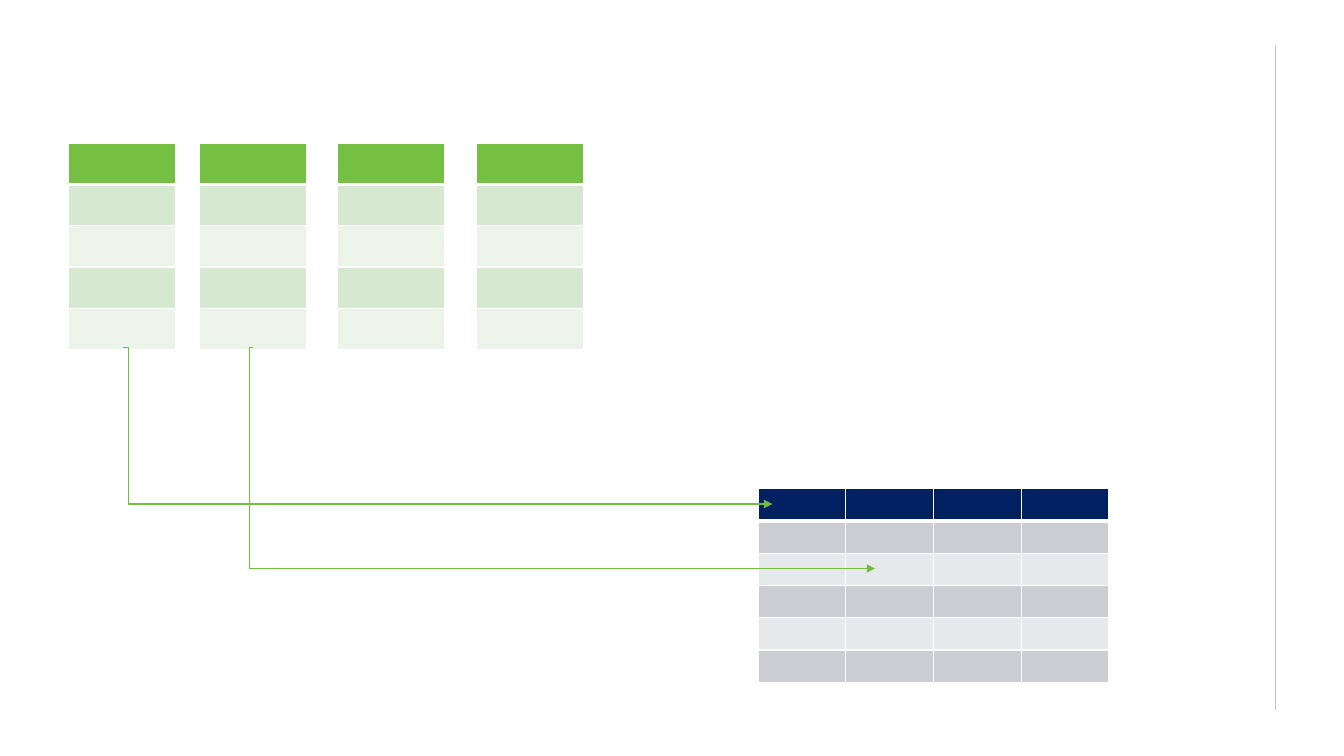
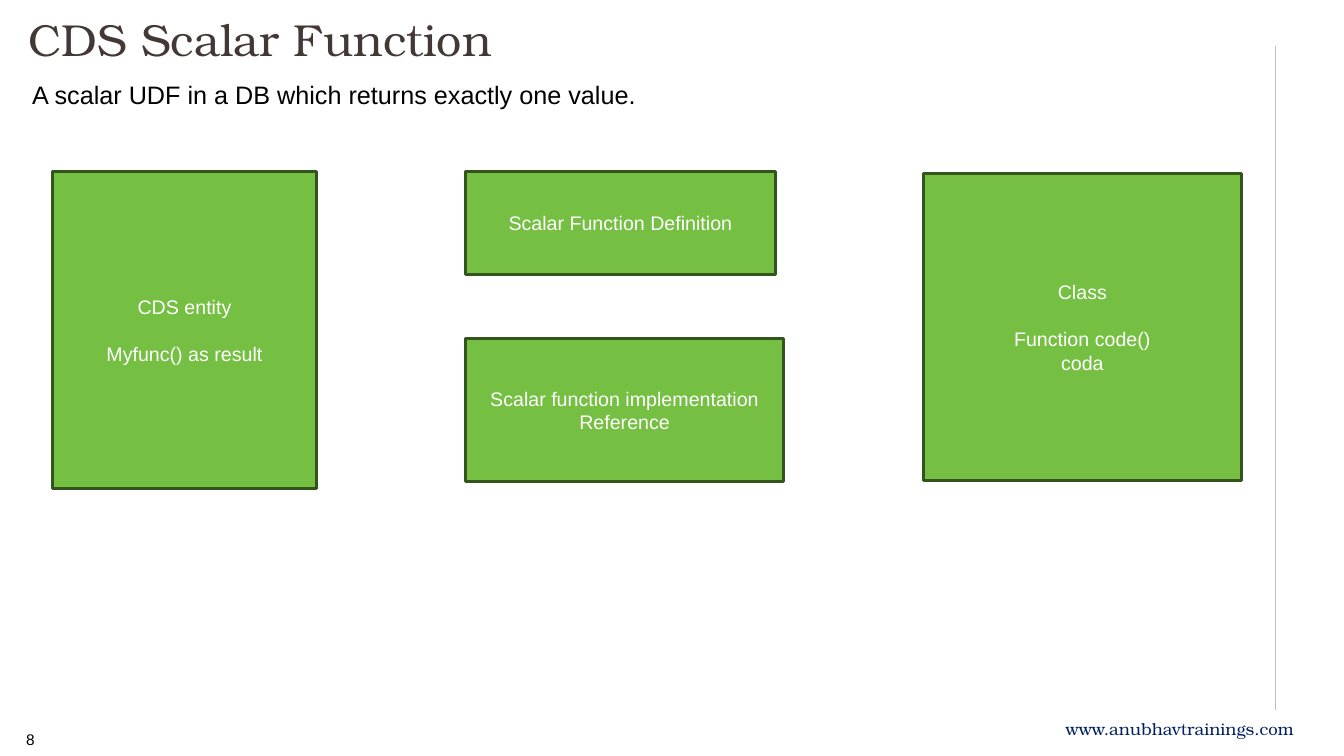
from lxml import etree
from pptx import Presentation
from pptx.dml.color import RGBColor
from pptx.enum.shapes import MSO_CONNECTOR, MSO_SHAPE
from pptx.enum.text import MSO_ANCHOR, MSO_AUTO_SIZE, PP_ALIGN
from pptx.oxml.ns import qn
from pptx.util import Inches, Pt

COLORS = {
    "green": "75C042", "green_mid": "D6E8CF", "green_pale": "ECF4E9",
    "arrow": "72BF3D", "outline": "33541D", "navy": "002060",
    "gray_mid": "CCCDD2", "gray_pale": "E7E8EA", "rule": "BFBFBF",
    "title": "433835", "black": "000000", "white": "FFFFFF",
}
SERIF = "TeX Gyre Bonum"
SANS = "Arial"
TITLE_ONLY, BLANK = 5, 6


def rgb(name):
    """Return the palette colour with this name."""
    return RGBColor.from_string(COLORS[name])


def write_text(frame, lines, size=14, font=SANS, color="black", align=PP_ALIGN.LEFT,
               anchor=MSO_ANCHOR.TOP, margins=(0.13, 0.07), line_spacing=None, gap_after_first=0):
    """Fill a text frame with one formatted paragraph per line."""
    frame.word_wrap = True
    frame.auto_size = MSO_AUTO_SIZE.NONE
    frame.vertical_anchor = anchor
    frame.margin_left = frame.margin_right = Inches(margins[0])
    frame.margin_top = frame.margin_bottom = Inches(margins[1])
    for index, line in enumerate(lines):
        paragraph = frame.paragraphs[0] if index == 0 else frame.add_paragraph()
        paragraph.alignment = align
        if line_spacing:
            paragraph.line_spacing = line_spacing
        if index == 1 and gap_after_first:
            paragraph.space_before = Pt(gap_after_first)
        run = paragraph.add_run()
        run.text = line
        run.font.size = Pt(size)
        run.font.name = font
        run.font.color.rgb = rgb(color)


def add_label(slide, box, text, **style):
    """Add a text box with a single line."""
    label = slide.shapes.add_textbox(*map(Inches, box))
    write_text(label.text_frame, [text], **style)


def add_line(slide, start, end, color, kind=MSO_CONNECTOR.STRAIGHT):
    """Add a thin connector without a shadow."""
    line = slide.shapes.add_connector(kind, *map(Inches, (*start, *end)))
    line.line.color.rgb = rgb(color)
    line.line.width = Pt(0.75)
    etree.SubElement(line._element.spPr, qn("a:effectLst"))
    return line


def add_elbow_arrow(slide, start, end, turn_x):
    """Add a bent arrow whose vertical leg stands at turn_x."""
    arrow = add_line(slide, start, end, "arrow", MSO_CONNECTOR.ELBOW)
    ratio = (turn_x - start[0]) / (end[0] - start[0])
    adjustments = arrow._element.spPr.find(qn("a:prstGeom")).get_or_add_avLst()
    etree.SubElement(adjustments, qn("a:gd"), name="adj1", fmla=f"val {round(ratio * 100000)}")
    etree.SubElement(arrow.line._get_or_add_ln(), qn("a:tailEnd"), type="triangle")


def set_borders(cell, widths):
    """Give a cell white borders; widths maps each side to points."""
    properties = cell._tc.get_or_add_tcPr()
    for position, side in enumerate("LRTB"):
        border = etree.Element(qn(f"a:ln{side}"), w=str(Pt(widths[side])))
        fill = etree.SubElement(border, qn("a:solidFill"))
        etree.SubElement(fill, qn("a:srgbClr"), val=COLORS["white"])
        properties.insert(position, border)


def add_banded_table(slide, left, top, rows, columns, cell_size, header, bands):
    """Add an empty table with a header row and alternating bands."""
    width, height = cell_size
    box = (left, top, width * columns, height * rows)
    table = slide.shapes.add_table(rows, columns, *map(Inches, box)).table
    for column in table.columns:
        column.width = Inches(width)
    for row_index, row in enumerate(table.rows):
        row.height = Inches(height)
        color = header if row_index == 0 else bands[(row_index - 1) % 2]
        for cell in row.cells:
            cell.margin_left = cell.margin_right = cell.margin_top = cell.margin_bottom = 0
            cell.fill.solid()
            cell.fill.fore_color.rgb = rgb(color)
            set_borders(cell, {"L": 1, "R": 1, "T": 3 if row_index == 1 else 1,
                               "B": 3 if row_index == 0 else 1})


def add_block(slide, box, lines, **style):
    """Add a green outlined block with centred text."""
    block = slide.shapes.add_shape(MSO_SHAPE.RECTANGLE, *map(Inches, box))
    block.shadow.inherit = False
    block.fill.solid()
    block.fill.fore_color.rgb = rgb("green")
    block.line.color.rgb = rgb("outline")
    block.line.width = Pt(2)
    write_text(block.text_frame, lines, color="white", align=PP_ALIGN.CENTER,
               anchor=MSO_ANCHOR.MIDDLE, margins=(0.1, 0.05), **style)


def start_slide(deck, layout):
    """Add a slide with the shared rule at the right."""
    slide = deck.slides.add_slide(deck.slide_layouts[layout])
    add_line(slide, (12.65, 0.46), (12.65, 7.04), "rule")
    return slide


def add_title(slide, box, text):
    """Move the title placeholder into the box and format it."""
    title = slide.shapes.title
    title.left, title.top, title.width, title.height = map(Inches, box)
    write_text(title.text_frame, [text], size=32, font=SERIF, color="title", line_spacing=0.8)


def add_footer(slide, number):
    """Add the web address and the slide number."""
    add_label(slide, (10.44, 7.06, 2.76, 0.34), "www.anubhavtrainings.com",
              size=12, font=SERIF, color="navy")
    add_label(slide, (0.13, 7.17, 0.4, 0.32), number, size=11)


def build_table_mapping(deck):
    """Build the slide that maps source tables to a result table."""
    slide = start_slide(deck, BLANK)
    for left in (0.68, 1.98, 3.35, 4.73):
        add_banded_table(slide, left, 1.42, 5, 1, (1.06, 0.41), "green",
                         ("green_mid", "green_pale"))
    add_banded_table(slide, 7.52, 4.85, 6, 4, (0.87, 0.32), "navy", ("gray_mid", "gray_pale"))
    add_elbow_arrow(slide, (1.22, 3.45), (7.66, 5), 1.28)
    add_elbow_arrow(slide, (2.51, 3.45), (8.68, 5.64), 2.48)


def build_scalar_function(deck):
    """Build the slide about the CDS scalar function."""
    slide = start_slide(deck, TITLE_ONLY)
    add_title(slide, (0.15, 0.15, 12.18, 0.56), "CDS Scalar Function")
    add_label(slide, (0.19, 0.72, 12.56, 0.44),
              "A scalar UDF in a DB which returns exactly one value.", size=18)
    add_footer(slide, "8")
    add_block(slide, (4.62, 1.7, 3.07, 1.02), ["Scalar Function Definition"])
    add_block(slide, (4.62, 3.36, 3.15, 1.42), ["Scalar function implementation Reference"])
    add_block(slide, (9.16, 1.72, 3.15, 3.05), ["Class", "Function code()", "coda"],
              gap_after_first=17)
    add_block(slide, (0.52, 1.7, 2.62, 3.15), ["CDS entity", "Myfunc() as result"],
              gap_after_first=17)


def main():
    """Build and save the presentation."""
    deck = Presentation()
    deck.slide_width, deck.slide_height = Inches(13.33), Inches(7.5)
    build_table_mapping(deck)
    build_scalar_function(deck)
    deck.save("out.pptx")


if __name__ == "__main__":
    main()
